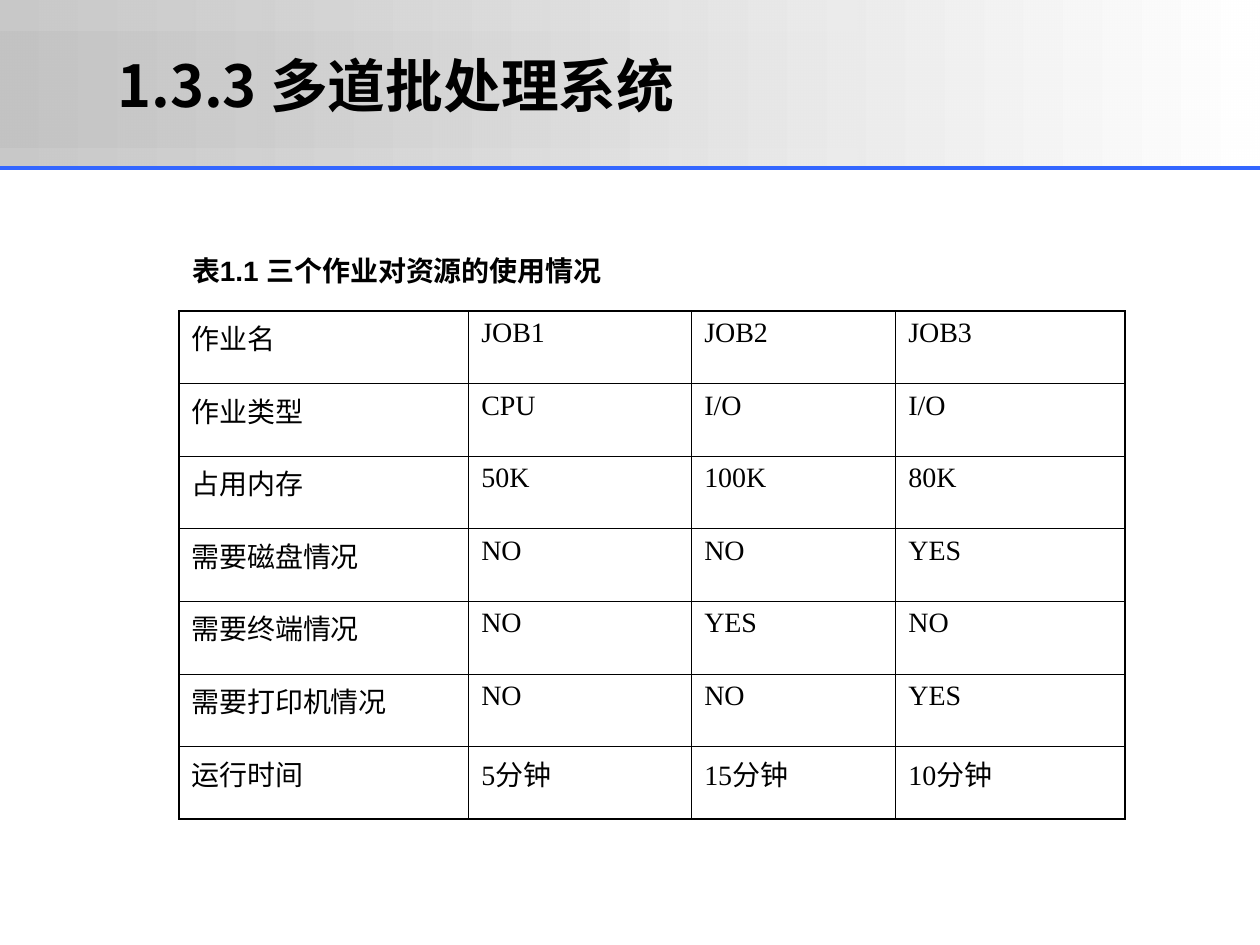
from lxml.etree import SubElement
from pptx import Presentation
from pptx.dml.color import RGBColor
from pptx.enum.shapes import MSO_CONNECTOR as Line, MSO_SHAPE as Shape
from pptx.enum.text import MSO_ANCHOR as Anchor, PP_ALIGN as Align
from pptx.oxml import parse_xml
from pptx.oxml.ns import nsdecls, qn
from pptx.util import Inches, Pt

BLACK = RGBColor(0, 0, 0)
WHITE = RGBColor(0xFF, 0xFF, 0xFF)
GREY = RGBColor(0xC0, 0xC0, 0xC0)
BLUE = RGBColor(0x33, 0x66, 0xFF)
CJK = "Noto Sans CJK SC"
HANG = 0.38

WIDTHS = 2.3, 1.77, 1.62, 1.82
ROWS = [
    ("作业名", "JOB1", "JOB2", "JOB3"),
    ("作业类型", "CPU", "I/O", "I/O"),
    ("占用内存", "50K", "100K", "80K"),
    ("需要磁盘情况", "NO", "NO", "YES"),
    ("需要终端情况", "NO", "YES", "NO"),
    ("需要打印机情况", "NO", "NO", "YES"),
    ("运行时间", "5分钟", "15分钟", "10分钟"),
]


def inches(*box):
    return [Inches(n) for n in box]


def style(para, size, face, bold=False):
    font = para.font
    font.size, font.name, font.bold = Pt(size), face, bold
    font.color.rgb = BLACK
    east = parse_xml(f'<a:ea {nsdecls("a")} typeface="{CJK}"/>')
    font._element.find(qn("a:latin")).addnext(east)


def add_text(slide, box, text, size, face, wrap=True):
    frame = slide.shapes.add_textbox(*inches(*box)).text_frame
    frame.word_wrap = wrap
    frame.vertical_anchor = Anchor.MIDDLE
    para = frame.paragraphs[0]
    para.text = text
    style(para, size, face, bold=True)
    return para


def add_fade(slide, box, alpha):
    """Band fading from translucent grey to white, left to right."""
    band = slide.shapes.add_shape(Shape.RECTANGLE, *inches(*box))
    band.shadow.inherit = False
    band.line.fill.background()
    band.fill.gradient()
    band.fill.gradient_angle = 0
    for stop, color, place in zip(band.fill.gradient_stops, (GREY, WHITE), (0, 1)):
        stop.color.rgb = color
        stop.position = place
    tint = band._element.spPr.find(".//" + qn("a:srgbClr"))
    SubElement(tint, qn("a:alpha"), val=str(alpha * 1000))


def add_header(slide, box, title):
    x, y, w, h = box
    add_fade(slide, box, 86)
    add_fade(slide, (x, y + 0.25, w, 0.92), 59)
    ends = inches(x, y + h, x + w, y + h)
    rule = slide.shapes.add_connector(Line.STRAIGHT, *ends)
    rule.line.color.rgb = BLUE
    rule.line.width = Pt(2.25)
    SubElement(rule._element.spPr, qn("a:effectLst"))
    para = add_text(slide, (x + w / 12, y + 0.08, 8.17, 1.25), title, 33, CJK)
    para.line_spacing = 0.9


def add_borders(cell, outer):
    """Draw all four sides, heavier where outer holds the side's letter."""
    props = cell._tc.get_or_add_tcPr()
    for i, side in enumerate("LRTB"):
        width = Pt(0.96 if side in outer else 0.45)
        props.insert(i, parse_xml(
            f'<a:ln{side} {nsdecls("a")} w="{width}"><a:solidFill>'
            f'<a:srgbClr val="{BLACK}"/></a:solidFill></a:ln{side}>'))


def add_grid(slide, box, rows, widths):
    m, n = len(rows), len(widths)
    frame = slide.shapes.add_table(m, n, *inches(*box))
    table = frame.table
    table.first_row = table.horz_banding = False
    for col, width in zip(table.columns, widths):
        col.width = Inches(width)
    for r, row in enumerate(rows):
        table.rows[r].height = Inches(box[3] / m)
        for c, text in enumerate(row):
            cell = table.cell(r, c)
            cell.fill.background()
            edges = {"L": c == 0, "R": c == n - 1, "T": r == 0, "B": r == m - 1}
            add_borders(cell, [side for side, on in edges.items() if on])
            para = cell.text_frame.paragraphs[0]
            para.text = text
            props = para._p.get_or_add_pPr()
            props.set("marL", str(Inches(HANG)))
            props.set("indent", str(Inches(-HANG)))
            style(para, 16, "Times New Roman")


def main():
    deck = Presentation()
    deck.slide_width, deck.slide_height = inches(10, 7.5)
    slide = deck.slides.add_slide(deck.slide_layouts[6])
    add_header(slide, (0, 0, 10, 1.33), "1.3.3 多道批处理系统")
    add_grid(slide, (1.42, 2.47, 7.5, 4.03), ROWS, WIDTHS)
    label = add_text(slide, (1.37, 1.96, 3.56, 0.37),
                     "表1.1 三个作业对资源的使用情况", 16, "Arial", wrap=False)
    label.alignment = Align.CENTER
    deck.save("out.pptx")


if __name__ == "__main__":
    main()
